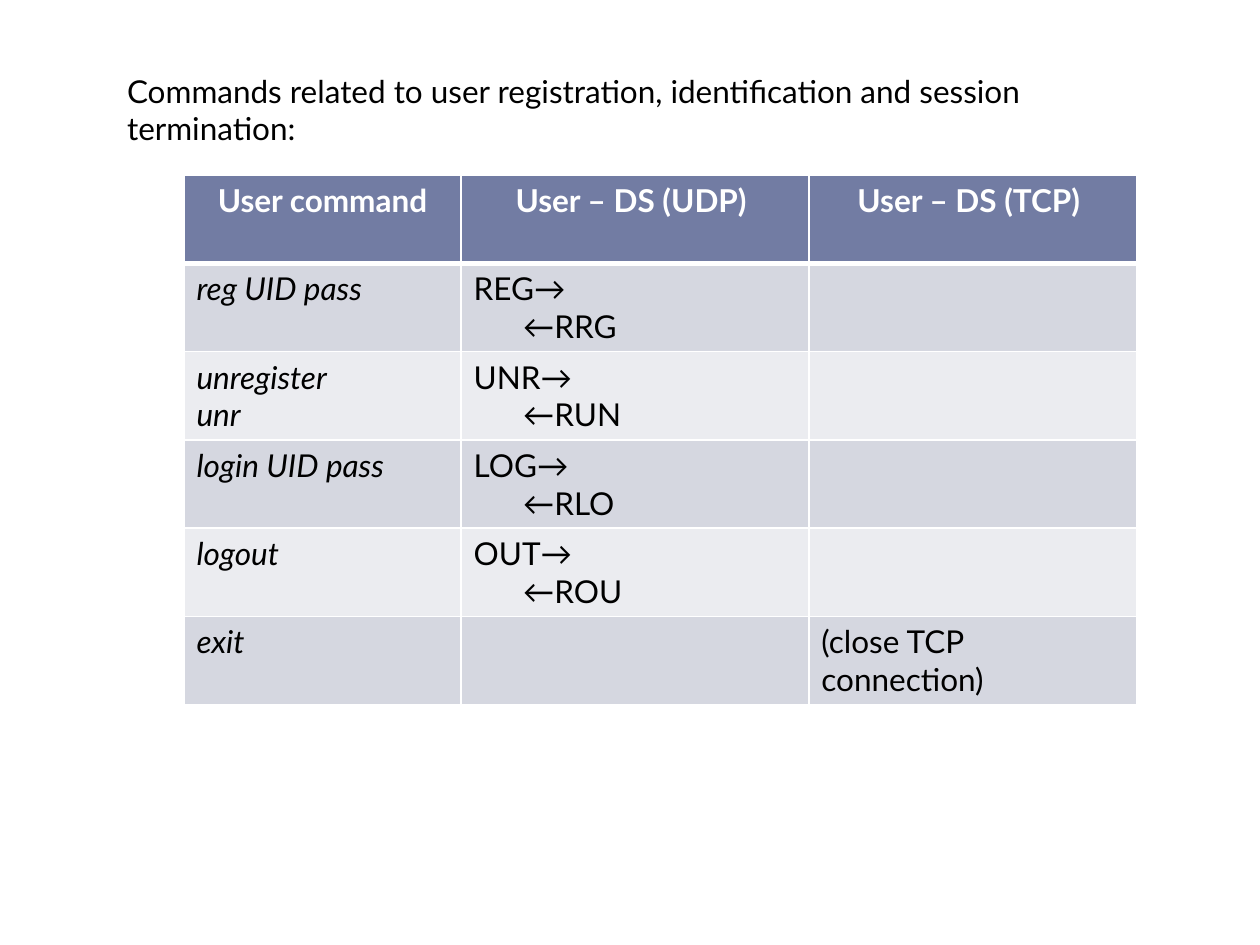
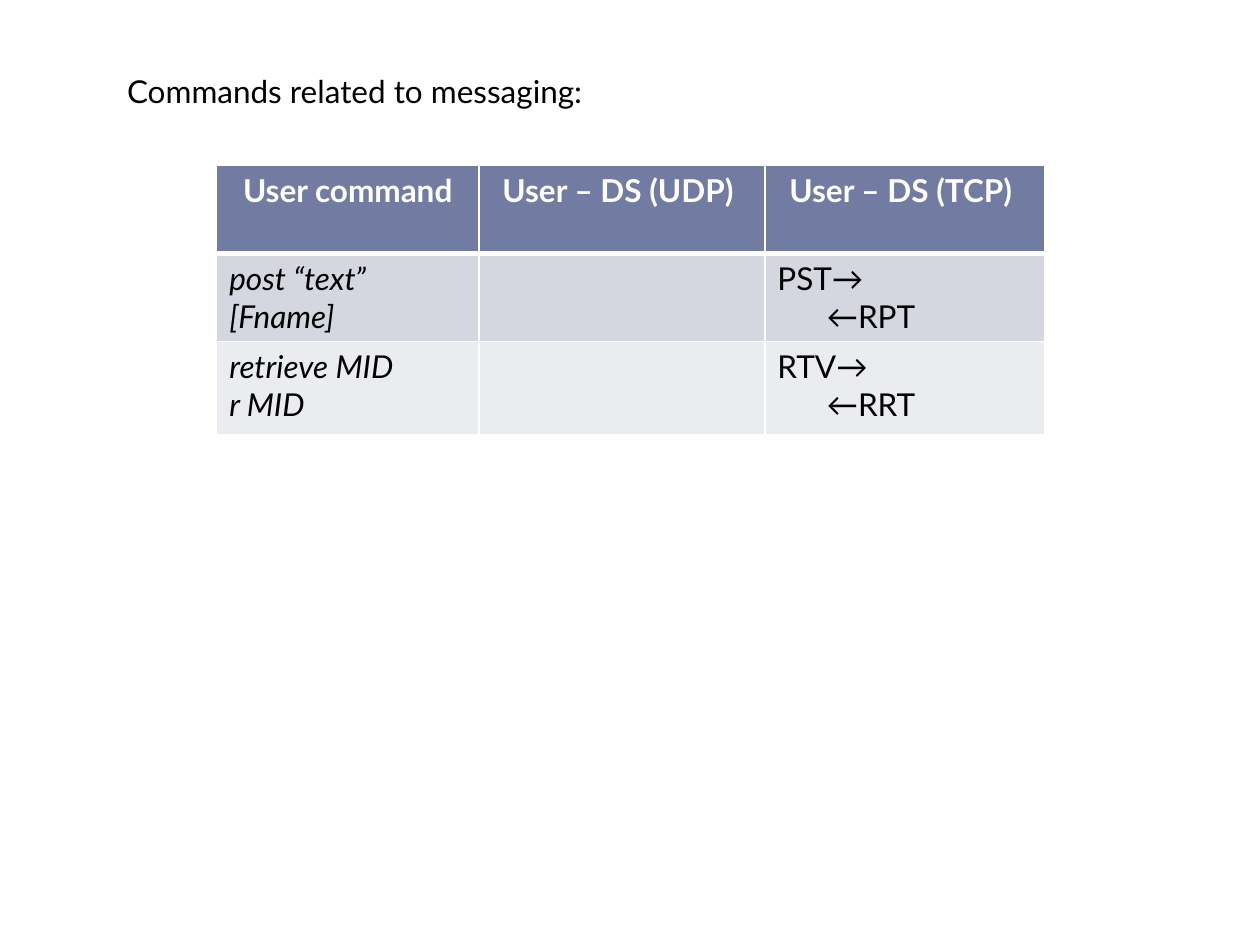
from dataclasses import dataclass

import lxml.etree
import pptx
import pptx.dml.color
import pptx.enum.text
import pptx.oxml.ns
import pptx.util

# Shared look
RGBColor = pptx.dml.color.RGBColor
WHITE = RGBColor(0xFF, 0xFF, 0xFF)
BLACK = RGBColor(0x00, 0x00, 0x00)
HEADER_FILL = RGBColor(0x72, 0x7C, 0xA3)
BANDS = (RGBColor(0xD5, 0xD7, 0xE0), RGBColor(0xEB, 0xEC, 0xF0))
FONT = "Lato"
FONT_SIZE = pptx.util.Pt(18)
THIN, THICK = 1, 3

# Slide grid: 100 columns by 75 rows
GRID_COLS, GRID_ROWS = 100, 75
REPLY_INDENT = 3.9
ROW_HEIGHT = 7
HEADERS = ("User command", "User – DS (UDP) ", "User – DS (TCP) ")

prs = pptx.Presentation()
prs.slide_width = pptx.util.Inches(10)
prs.slide_height = pptx.util.Inches(7.5)


@dataclass(frozen=True)
class Command:
    """One table row: what the user types and the messages it causes."""
    typed: str
    udp: str = ""
    tcp: str = ""


@dataclass(frozen=True)
class CommandSlide:
    title: str
    left: float
    top: float
    widths: tuple[float, ...]
    commands: tuple[Command, ...]
    last_height: float = ROW_HEIGHT


def across(cols: float) -> int:
    return round(prs.slide_width * cols / GRID_COLS)


def down(rows: float) -> int:
    return round(prs.slide_height * rows / GRID_ROWS)


def exchange(request: str, reply: str) -> str:
    return f"{request}→\n←{reply}"


def style_text(tf, color: RGBColor, bold: bool = False, italic: bool = False) -> None:
    for p in tf.paragraphs:
        for r in p.runs:
            r.font.name, r.font.size = FONT, FONT_SIZE
            r.font.bold, r.font.italic = bold, italic
            r.font.color.rgb = color


def add_borders(cell, top: int, bottom: int) -> None:
    """White cell borders, with widths in points."""
    tcPr = cell._tc.get_or_add_tcPr()
    for side, width in (("L", THIN), ("R", THIN), ("T", top), ("B", bottom)):
        ln = lxml.etree.SubElement(tcPr, pptx.oxml.ns.qn(f"a:ln{side}"),
                                   w=str(pptx.util.Pt(width)))
        fill = lxml.etree.SubElement(ln, pptx.oxml.ns.qn("a:solidFill"))
        lxml.etree.SubElement(fill, pptx.oxml.ns.qn("a:srgbClr"), val=str(WHITE))


def fill_cell(cell, text: str, row: int, col: int) -> None:
    is_header = row == 0
    add_borders(cell, top=THICK if row == 1 else THIN,
                bottom=THICK if is_header else THIN)
    cell.fill.solid()
    cell.fill.fore_color.rgb = HEADER_FILL if is_header else BANDS[(row - 1) % 2]
    tf = cell.text_frame
    tf.text = text
    style_text(tf, WHITE if is_header else BLACK, bold=is_header,
               italic=not is_header and col == 0)
    for p in tf.paragraphs:
        if is_header:
            p.alignment = pptx.enum.text.PP_ALIGN.CENTER
        elif p.text.startswith("←"):
            p._p.get_or_add_pPr().set("marL", str(across(REPLY_INDENT)))


def add_title(s, text: str) -> None:
    sp = s.shapes.add_textbox(across(9.1), down(5.2), across(81.1), down(4))
    tf = sp.text_frame
    tf.word_wrap = True
    tf.auto_size = pptx.enum.text.MSO_AUTO_SIZE.SHAPE_TO_FIT_TEXT
    tf.text = text
    style_text(tf, BLACK)


def add_command_table(s, content: CommandSlide) -> None:
    rows = [HEADERS] + [(c.typed, c.udp, c.tcp) for c in content.commands]
    heights = [ROW_HEIGHT] * (len(rows) - 1) + [content.last_height]
    table = s.shapes.add_table(
        len(rows), len(HEADERS), across(content.left), down(content.top),
        across(sum(content.widths)), down(sum(heights))).table
    for column, width in zip(table.columns, content.widths):
        column.width = across(width)
    for table_row, height in zip(table.rows, heights):
        table_row.height = down(height)
    for i, texts in enumerate(rows):
        for j, text in enumerate(texts):
            fill_cell(table.cell(i, j), text, i, j)


SLIDES = (
    CommandSlide(
        "Commands related to user registration, identification and session termination:",
        left=14.6, top=13.9, widths=(22, 27.6, 26),
        commands=(
            Command("reg UID pass", udp=exchange("REG", "RRG")),
            Command("unregister\nunr", udp=exchange("UNR", "RUN")),
            Command("login UID pass", udp=exchange("LOG", "RLO")),
            Command("logout", udp=exchange("OUT", "ROU")),
            Command("exit", tcp="(close TCP connection)"),
        )),
    CommandSlide(
        "Commands related to messaging:",
        left=17.2, top=13.1, widths=(20.8, 22.7, 22.2),
        commands=(
            Command("post “text” [Fname]", tcp=exchange("PST", "RPT")),
            Command("retrieve MID\nr MID", tcp=exchange("RTV", "RRT")),
        ),
        last_height=7.4),
)

# Build the slides on the blank layout
for content in SLIDES:
    s = prs.slides.add_slide(prs.slide_layouts[6])
    add_command_table(s, content)
    add_title(s, content.title)

prs.save("out.pptx")
